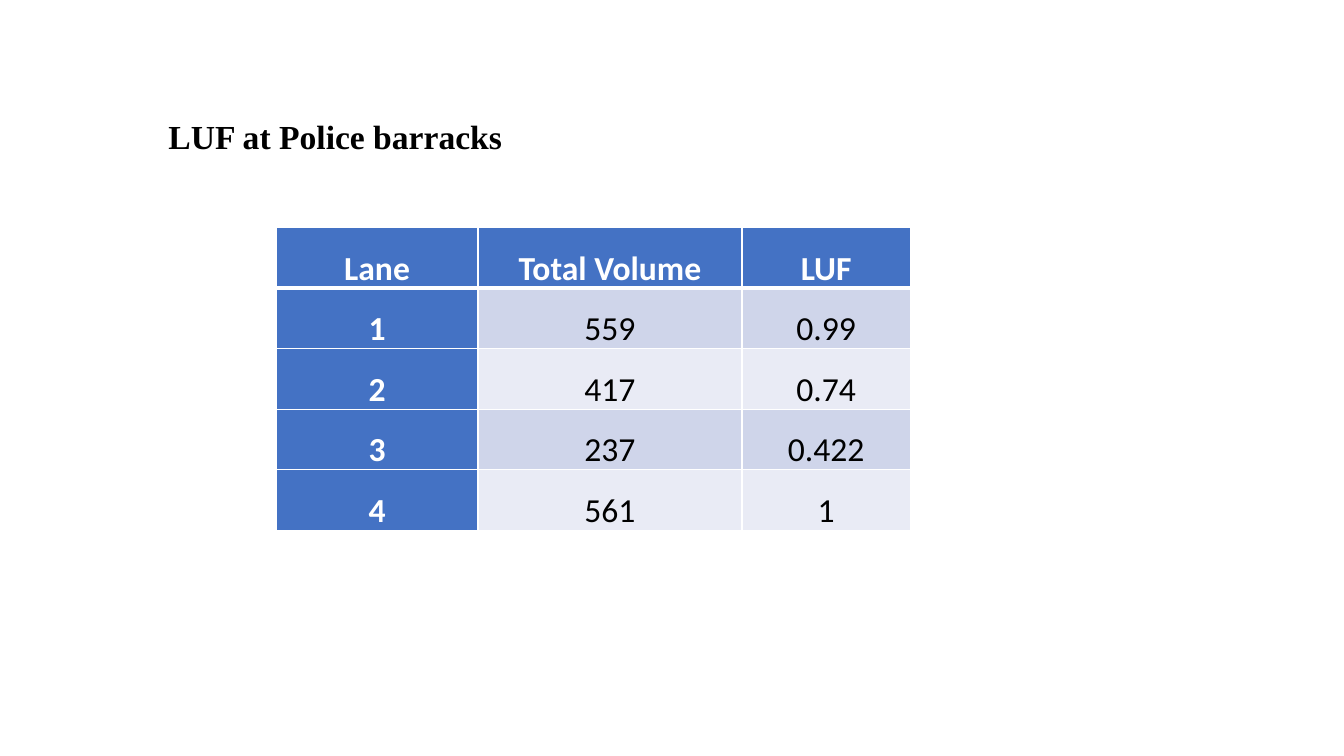
"""Build the slide showing lane utilization factors at Police barracks."""
from lxml.etree import SubElement
from pptx import Presentation
from pptx.dml.color import RGBColor
from pptx.enum.text import MSO_ANCHOR as ANCHOR, MSO_AUTO_SIZE as AUTO, PP_ALIGN as ALIGN
from pptx.oxml.ns import qn
from pptx.util import Inches, Pt

TITLE = "LUF at Police barracks"
ROWS = [
    ("Lane", "Total Volume", "LUF"),
    ("1", "559", "0.99"),
    ("2", "417", "0.74"),
    ("3", "237", "0.422"),
    ("4", "561", "1"),
]
COL_WIDTHS = (2, 2.62, 1.67)
ROW_HEIGHT = 0.6
COLORS = {
    "header": "4472C4",
    "odd": "CFD5EA",
    "even": "E9EBF5",
    "white": "FFFFFF",
    "black": "000000",
}


def format_runs(p, font, color, bold):
    for r in p.runs:
        r.font.name = font
        r.font.size = Pt(24)
        r.font.bold = bold
        r.font.color.rgb = RGBColor.from_string(COLORS[color])


def add_border(cell, side, width):
    ln = SubElement(cell._tc.get_or_add_tcPr(), qn(f"a:ln{side}"), w=str(Pt(width)))
    fill = SubElement(ln, qn("a:solidFill"))
    SubElement(fill, qn("a:srgbClr"), val=COLORS["white"])


def add_title(slide):
    sp = slide.shapes.title
    sp.left, sp.top, sp.width, sp.height = map(Inches, (1.57, 1.1, 6.67, 0.5))
    tf = sp.text_frame
    tf.text = TITLE
    tf.word_wrap = True
    tf.auto_size = AUTO.SHAPE_TO_FIT_TEXT
    tf.vertical_anchor = ANCHOR.TOP
    p = tf.paragraphs[0]
    p.alignment = ALIGN.LEFT
    p.line_spacing = 1.0
    format_runs(p, "Times New Roman", "black", True)


def fill_cell(cell, text, row, col):
    is_header = row == 0 or col == 0
    for side in "LRTB":
        under_header = (row, side) in ((0, "B"), (1, "T"))
        add_border(cell, side, 3 if under_header else 1)
    band = "header" if is_header else "odd" if row % 2 else "even"
    cell.fill.solid()
    cell.fill.fore_color.rgb = RGBColor.from_string(COLORS[band])
    cell.margin_left = cell.margin_right = Inches(0.07)
    cell.margin_top = cell.margin_bottom = 0
    cell.vertical_anchor = ANCHOR.BOTTOM
    cell.text_frame.text = text
    p = cell.text_frame.paragraphs[0]
    p.alignment = ALIGN.CENTER
    p.line_spacing = 1.5
    format_runs(p, "Calibri", "white" if is_header else "black", is_header)


def add_lane_table(slide):
    size = (sum(COL_WIDTHS), ROW_HEIGHT * len(ROWS))
    table = slide.shapes.add_table(
        len(ROWS), len(COL_WIDTHS), *map(Inches, (2.74, 2.26, *size))
    ).table
    table.first_col = True
    for column, width in zip(table.columns, COL_WIDTHS):
        column.width = Inches(width)
    for row, values in enumerate(ROWS):
        table.rows[row].height = Inches(ROW_HEIGHT)
        for col, text in enumerate(values):
            fill_cell(table.cell(row, col), text, row, col)


def main():
    prs = Presentation()
    prs.slide_width, prs.slide_height = Inches(13.33), Inches(7.5)
    slide = prs.slides.add_slide(prs.slide_layouts[5])
    add_title(slide)
    add_lane_table(slide)
    prs.save("out.pptx")


if __name__ == "__main__":
    main()
